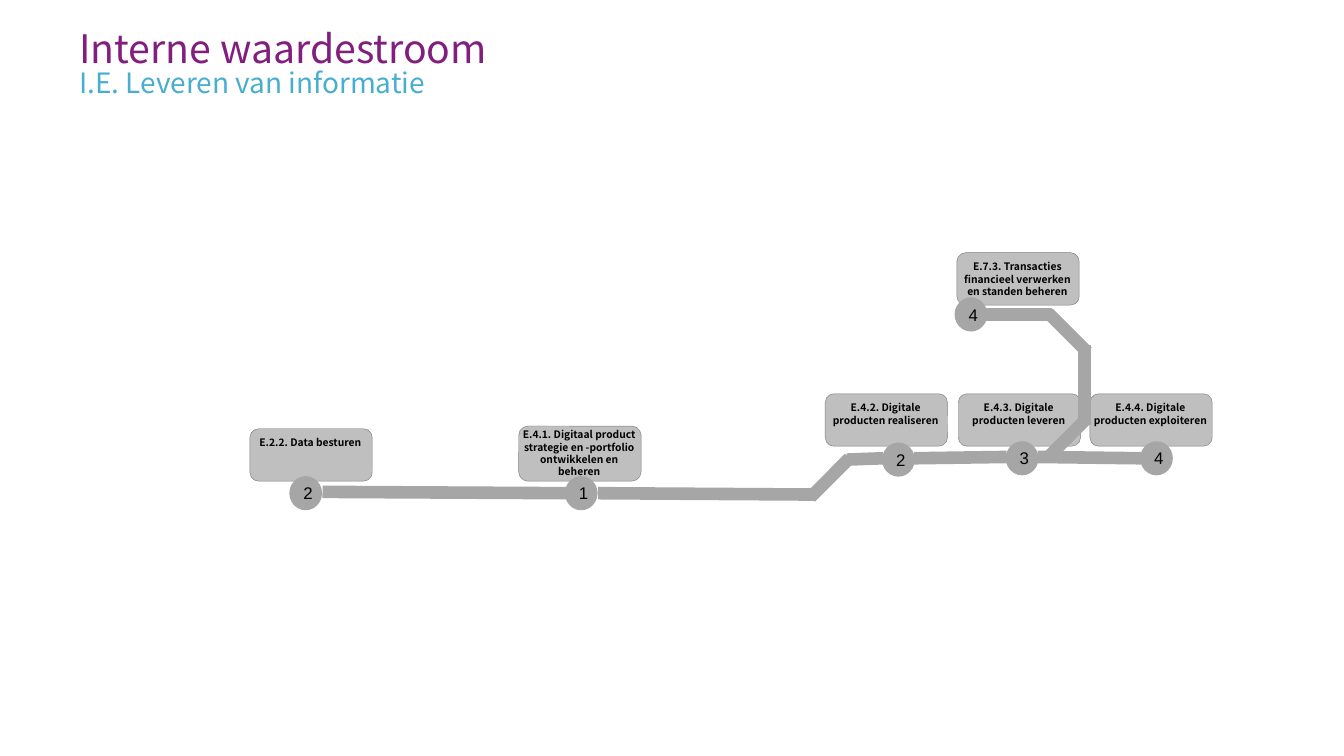
from lxml import etree
from pptx import Presentation
from pptx.dml.color import RGBColor
from pptx.enum.shapes import MSO_CONNECTOR, MSO_SHAPE
from pptx.enum.text import MSO_ANCHOR, MSO_AUTO_SIZE, PP_ALIGN
from pptx.oxml.ns import qn
from pptx.util import Inches, Pt

STRAIGHT = MSO_CONNECTOR.STRAIGHT
ROUNDED, OVAL = MSO_SHAPE.ROUNDED_RECTANGLE, MSO_SHAPE.OVAL
TOP, MIDDLE = MSO_ANCHOR.TOP, MSO_ANCHOR.MIDDLE
LEFT, CENTER = PP_ALIGN.LEFT, PP_ALIGN.CENTER
NO_AUTOFIT = MSO_AUTO_SIZE.NONE

SLIDE_WIDTH = 10
SLIDE_HEIGHT = SLIDE_WIDTH * 9 / 16

COLORS = {
    "title": "821E7D",
    "subtitle": "48AED0",
    "card": "BFBFBF",
    "card_border": "808080",
    "track": "A6A6A6",
    "text": "000000",
}
SANS, DIGITS = "Noto Sans CJK TC", "Arial"
CARD_WIDTH, CARD_HEIGHT = 0.91, 0.39
STATION_WIDTH, STATION_HEIGHT = 0.23, 0.24

# Activity cards: left, top, height, top inset, text
CARDS = [
    (7.12, 1.88, CARD_HEIGHT, 0.04,
     "E.7.3. Transacties financieel verwerken en standen beheren"),
    (3.86, 3.17, 0.41, 0,
     "E.4.1. Digitaal product strategie en -portfolio ontwikkelen en beheren"),
    (1.86, 3.19, CARD_HEIGHT, 0.04, "E.2.2. Data besturen"),
    (6.14, 2.93, CARD_HEIGHT, 0.04, "E.4.2. Digitale producten realiseren"),
    (7.13, 2.93, CARD_HEIGHT, 0.04, "E.4.3. Digitale producten leveren"),
    (8.11, 2.93, CARD_HEIGHT, 0.04, "E.4.4. Digitale producten exploiteren"),
]

# Stations: left, top, number
STATIONS = [
    (4.21, 3.55, "1"), (7.49, 3.29, "3"), (6.57, 3.3, "2"),
    (7.11, 2.22, "4"), (2.16, 3.55, "2"), (8.49, 3.29, "4"),
]

# Track pieces: start x, start y, end x, end y
TRACKS = [
    (8.49, 3.41, 7.72, 3.4), (7.49, 3.4, 6.8, 3.41),
    (4.21, 3.67, 2.4, 3.66), (6.07, 3.68, 4.45, 3.67),
    (6.03, 3.7, 6.32, 3.41), (6.57, 3.41, 6.3, 3.42),
    (7.8, 3.4, 8.09, 3.11), (7.8, 2.33, 8.09, 2.62),
    (7.83, 2.34, 7.34, 2.34), (8.07, 3.16, 8.07, 2.57),
]


def color(name):
    return RGBColor.from_string(COLORS[name])


def apply_format(target, values):
    for name, value in values.items():
        setattr(target, name, value)


def write_text(shape, text, frame_format, paragraph_format, font_format, font_color):
    frame = shape.text_frame
    apply_format(frame, {"word_wrap": True, "auto_size": NO_AUTOFIT, **frame_format})
    frame.text = text
    paragraph = frame.paragraphs[0]
    apply_format(paragraph, paragraph_format)
    apply_format(paragraph.font, font_format)
    paragraph.font.color.rgb = color(font_color)
    return paragraph


def insets(left, top, right, bottom):
    return {
        "margin_left": Inches(left), "margin_top": Inches(top),
        "margin_right": Inches(right), "margin_bottom": Inches(bottom),
    }


def fill_heading(placeholder, box, text, size, font_color, line_spacing):
    position = zip(("left", "top", "width", "height"), map(Inches, box))
    apply_format(placeholder, dict(position))
    paragraph = write_text(
        placeholder, text,
        {"vertical_anchor": TOP, **insets(0, 0, 0, 0)},
        {"alignment": LEFT, "line_spacing": line_spacing, "space_before": Pt(0)},
        {"name": SANS, "size": Pt(size), "bold": False}, font_color)
    # Plain text line: no bullet and no hanging indent
    properties = paragraph._p.get_or_add_pPr()
    properties.set("marL", "0")
    properties.set("indent", "0")
    properties.find(qn("a:defRPr")).addprevious(etree.Element(qn("a:buNone")))


def add_node(slide, kind, box, fill, border, border_width):
    shape = slide.shapes.add_shape(kind, *map(Inches, box))
    shape.shadow.inherit = False
    shape.fill.solid()
    shape.fill.fore_color.rgb = color(fill)
    shape.line.color.rgb = color(border)
    shape.line.width = Pt(border_width)
    return shape


def add_card(slide, left, top, height, top_inset, text):
    card = add_node(slide, ROUNDED, (left, top, CARD_WIDTH, height),
                    "card", "card_border", 0.25)
    write_text(card, text,
               {"vertical_anchor": TOP, **insets(0, top_inset, 0.01, 0.04)},
               {"alignment": CENTER},
               {"name": SANS, "size": Pt(5.5), "bold": True}, "text")


def add_station(slide, left, top, number):
    station = add_node(slide, OVAL, (left, top, STATION_WIDTH, STATION_HEIGHT),
                       "track", "track", 1)
    write_text(station, number, {"vertical_anchor": MIDDLE}, {"alignment": CENTER},
               {"name": DIGITS, "size": Pt(9)}, "text")


def add_track(slide, *ends):
    track = slide.shapes.add_connector(STRAIGHT, *map(Inches, ends))
    track.line.color.rgb = color("track")
    track.line.width = Pt(6.75)
    etree.SubElement(track._element.spPr, qn("a:effectLst"))


def main():
    presentation = Presentation()
    presentation.slide_width = Inches(SLIDE_WIDTH)
    presentation.slide_height = Inches(SLIDE_HEIGHT)
    slide = presentation.slides.add_slide(presentation.slide_layouts[1])

    # Headings
    fill_heading(slide.shapes.title, (0.59, 0.14, 7.28, 0.39),
                 "Interne waardestroom", 21, "title", Pt(28))
    fill_heading(slide.placeholders[1], (0.59, 0.44, 7.55, 0.22),
                 "I.E. Leveren van informatie", 15, "subtitle", 1.2)

    # Value stream map, from back to front
    for card in CARDS:
        add_card(slide, *card)
    for station in STATIONS:
        add_station(slide, *station)
    for track in TRACKS:
        add_track(slide, *track)

    presentation.save("out.pptx")


if __name__ == "__main__":
    main()
